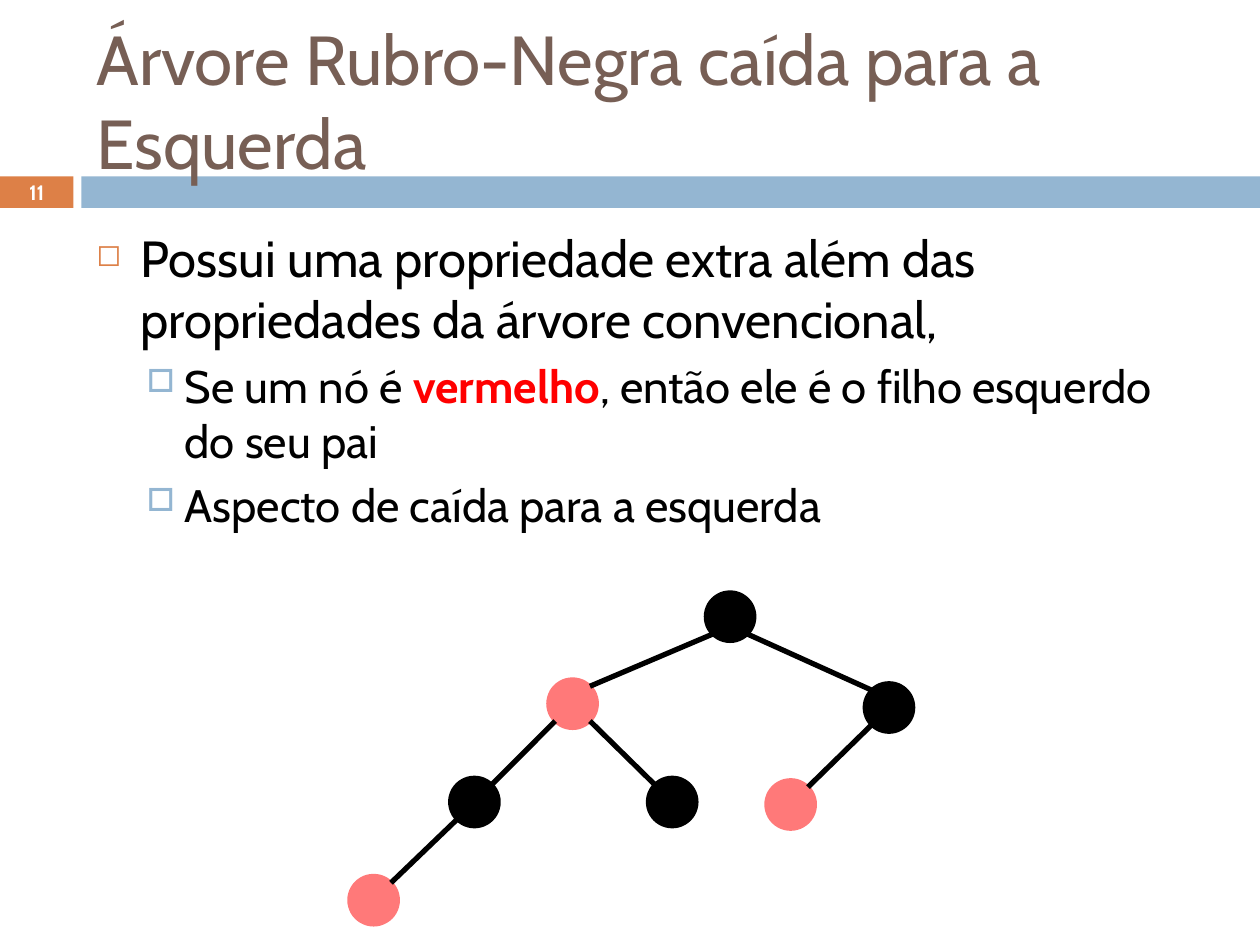
"""Build the slide on left-leaning red-black trees."""
from dataclasses import dataclass
from math import sqrt
from typing import NamedTuple

import lxml.etree
import pptx
import pptx.dml.color
import pptx.enum.shapes
import pptx.enum.text
import pptx.oxml.ns
import pptx.util

Pt = pptx.util.Pt
RGBColor = pptx.dml.color.RGBColor
Anchor = pptx.enum.text.MSO_ANCHOR
Align = pptx.enum.text.PP_ALIGN
Shape = pptx.enum.shapes.MSO_SHAPE

BLACK = RGBColor(0x00, 0x00, 0x00)
WHITE = RGBColor(0xFF, 0xFF, 0xFF)
RED = RGBColor(0xFF, 0x00, 0x00)
NODE_RED = RGBColor(0xFF, 0x79, 0x79)
BROWN = RGBColor(0x77, 0x5F, 0x55)
ORANGE = RGBColor(0xDD, 0x80, 0x47)
BLUE = RGBColor(0x94, 0xB6, 0xD2)

FONT = "Cabin"
NODE_SIZE = 28.1
CORNER = NODE_SIZE / 2 / sqrt(2)


class Box(NamedTuple):
    left: float
    top: float
    width: float
    height: float

    def lengths(self) -> list:
        return [Pt(value) for value in self]


class Run(NamedTuple):
    text: str
    color: RGBColor = BLACK
    bold: bool = False


class Node(NamedTuple):
    x: float
    y: float
    color: RGBColor
    parent: str = ""


@dataclass
class Level:
    number: int
    size: float
    margin: float
    indent: float
    space: float
    bullet: str
    bullet_color: RGBColor
    bullet_percent: int


MAIN = Level(0, 29, 25.2, -25.2, 7, "◻", ORANGE, 60)
SUB = Level(1, 26, 50.4, -21.6, 5.5, "□", BLUE, 70)

TOPICS = [
    (MAIN, [Run("Possui uma propriedade extra além das propriedades da árvore convencional,")]),
    (SUB, [
        Run("Se um nó é "),
        Run("vermelho", RED, True),
        Run(", então ele é o filho esquerdo do seu pai"),
    ]),
    (SUB, [Run("Aspecto de caída para a esquerda")]),
]

TREE = {
    "root": Node(417.2, 352.4, BLACK),
    "left": Node(327.2, 402.1, NODE_RED, "root"),
    "right": Node(508, 404.3, BLACK, "root"),
    "left-left": Node(271.1, 458.3, BLACK, "left"),
    "left-right": Node(384.1, 458.3, BLACK, "left"),
    "right-left": Node(451.8, 459.7, NODE_RED, "right"),
    "lowest": Node(213.5, 514.4, NODE_RED, "left-left"),
}


def set_all(target, values: dict) -> None:
    """Set each named attribute on the target."""
    for name, value in values.items():
        setattr(target, name, value)


def add_run(paragraph, run: Run, size: float) -> None:
    """Append a formatted run to a paragraph."""
    words = paragraph.add_run()
    words.text = run.text
    set_all(words.font, {"name": FONT, "size": Pt(size), "bold": run.bold})
    words.font.color.rgb = run.color


def add_frame(shapes, box: Box, anchor: Anchor):
    """Add a wrapping text box and return its text frame."""
    frame = shapes.add_textbox(*box.lengths()).text_frame
    set_all(frame, {"word_wrap": True, "vertical_anchor": anchor})
    return frame


def add_filled(shapes, preset: Shape, box: Box, color: RGBColor, line: float = 0) -> None:
    """Add a plain filled shape, outlined in its own colour if line is given."""
    filled = shapes.add_shape(preset, *box.lengths())
    filled.shadow.inherit = False
    filled.fill.solid()
    filled.fill.fore_color.rgb = color
    if line:
        filled.line.color.rgb = color
        filled.line.width = Pt(line)
    else:
        filled.line.fill.background()


def set_level(paragraph, level: Level) -> None:
    """Give a paragraph the indents and bullet of its level."""
    paragraph.level = level.number
    properties = paragraph._p.get_or_add_pPr()
    properties.set("marL", str(Pt(level.margin)))
    properties.set("indent", str(Pt(level.indent)))
    qn = pptx.oxml.ns.qn
    color = lxml.etree.SubElement(properties, qn("a:buClr"))
    lxml.etree.SubElement(color, qn("a:srgbClr"), val=str(level.bullet_color))
    lxml.etree.SubElement(properties, qn("a:buSzPct"), val=str(level.bullet_percent * 1000))
    lxml.etree.SubElement(properties, qn("a:buChar"), char=level.bullet)


def add_topics(shapes, box: Box) -> None:
    """Add the bulleted text."""
    frame = add_frame(shapes, box, Anchor.TOP)
    for index, (level, runs) in enumerate(TOPICS):
        paragraph = frame.add_paragraph() if index else frame.paragraphs[0]
        set_level(paragraph, level)
        if index:
            paragraph.space_before = Pt(level.space)
        for run in runs:
            add_run(paragraph, run, level.size)


def add_edge(shapes, child: Node, parent: Node) -> None:
    """Join the upper corner of a child to the lower corner of its parent."""
    inward = CORNER if child.x < parent.x else -CORNER
    ends = (child.x + inward, child.y - CORNER, parent.x - inward, parent.y + CORNER)
    edge = shapes.add_connector(
        pptx.enum.shapes.MSO_CONNECTOR.STRAIGHT, *[Pt(value) for value in ends]
    )
    edge.line.color.rgb = BLACK
    edge.line.width = Pt(3)
    lxml.etree.SubElement(edge._element.spPr, pptx.oxml.ns.qn("a:effectLst"))


def add_tree(shapes) -> None:
    """Add the nodes and edges as one group."""
    members = shapes.add_group_shape().shapes
    for node in TREE.values():
        radius = NODE_SIZE / 2
        box = Box(node.x - radius, node.y - radius, NODE_SIZE, NODE_SIZE)
        add_filled(members, Shape.OVAL, box, node.color, 2)
    for node in TREE.values():
        if node.parent:
            add_edge(members, node, TREE[node.parent])


def main() -> None:
    """Build and save the slide."""
    deck = pptx.Presentation()
    set_all(deck, {"slide_width": Pt(720), "slide_height": Pt(540)})
    shapes = deck.slides.add_slide(deck.slide_layouts[6]).shapes

    add_filled(shapes, Shape.RECTANGLE, Box(0, 100.8, 42, 18), ORANGE)
    add_filled(shapes, Shape.RECTANGLE, Box(46.5, 100.8, 673.5, 18), BLUE)

    title = add_frame(shapes, Box(48, 18, 642, 78), Anchor.MIDDLE).paragraphs[0]
    add_run(title, Run("Árvore Rubro-Negra caída para a Esquerda", BROWN), 39.6)

    page = add_frame(shapes, Box(0, 100, 42, 19.5), Anchor.MIDDLE).paragraphs[0]
    page.alignment = Align.CENTER
    add_run(page, Run("11", WHITE, True), 11.9)

    add_topics(shapes, Box(48, 126, 642, 354))
    add_tree(shapes)
    deck.save("out.pptx")


if __name__ == "__main__":
    main()
